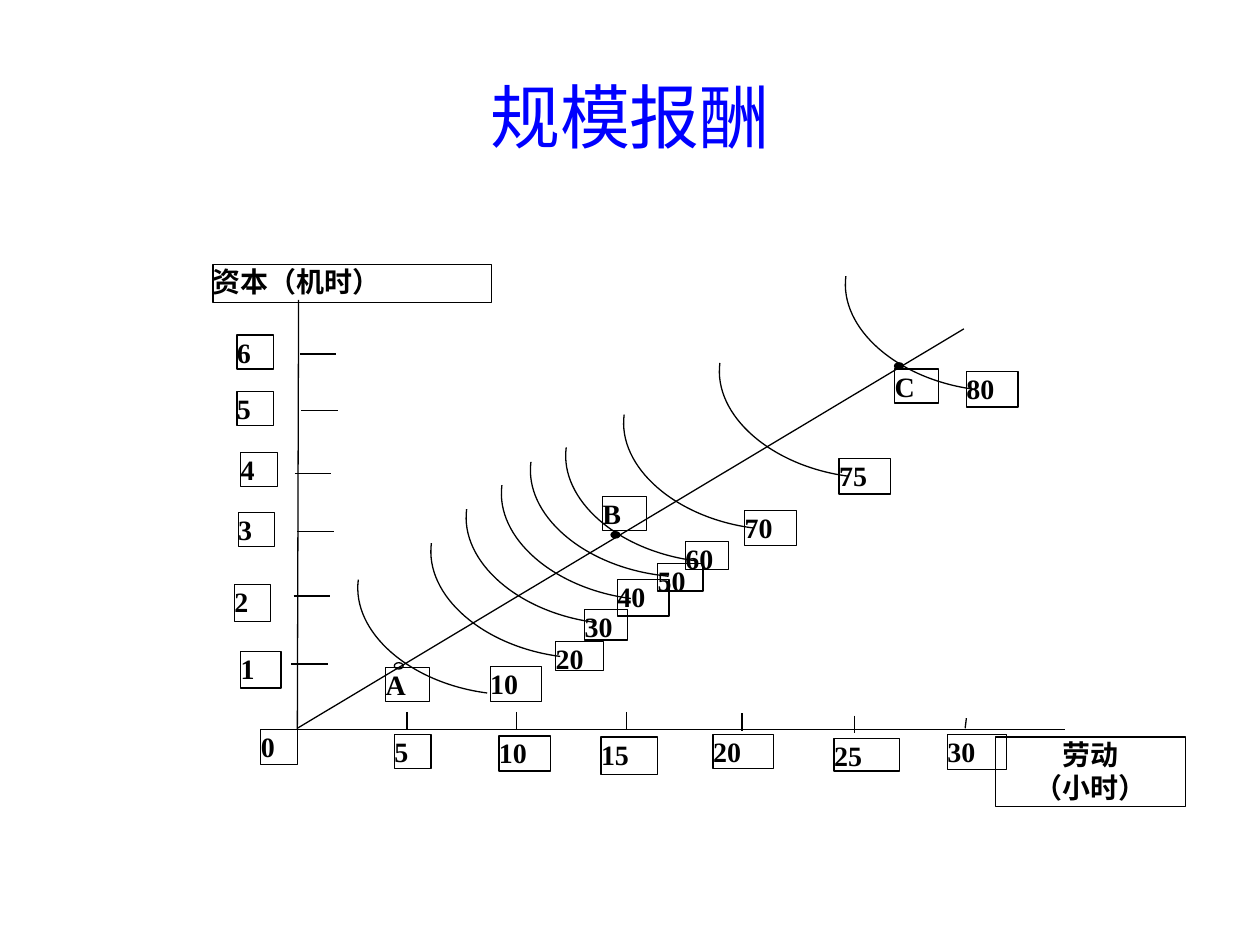
from lxml import etree
from pptx import Presentation
from pptx.dml.color import RGBColor
from pptx.enum.shapes import MSO_CONNECTOR, MSO_SHAPE
from pptx.enum.text import MSO_ANCHOR, PP_ALIGN
from pptx.oxml.ns import qn
from pptx.util import Inches, Pt

BLACK = RGBColor(0, 0, 0)
BLUE = RGBColor(0, 0, 255)
CHINESE_FONT = "Noto Sans CJK SC"
LABEL_FONT = "Times New Roman"
TITLE_ONLY = 5
STRAIGHT = MSO_CONNECTOR.STRAIGHT
RECTANGLE, OVAL = MSO_SHAPE.RECTANGLE, MSO_SHAPE.OVAL
MIDDLE, TOP = MSO_ANCHOR.MIDDLE, MSO_ANCHOR.TOP
LEFT, CENTER, JUSTIFY = PP_ALIGN.LEFT, PP_ALIGN.CENTER, PP_ALIGN.JUSTIFY

# A quarter ellipse as Bezier control points, before it is turned
ISOQUANT = [(0, 0), (0.62, 0), (1.13, 0.34), (1.13, 0.76)]
ISOQUANT_TURN = 187.4

# (text, left, top, width, height)
X_LABELS = [
    ("0", 2.07, 5.79, 0.29, 0.28), ("5", 3.13, 5.83, 0.29, 0.27),
    ("10", 3.96, 5.84, 0.41, 0.28), ("15", 4.77, 5.85, 0.45, 0.3),
    ("20", 5.66, 5.83, 0.48, 0.27), ("25", 6.62, 5.86, 0.52, 0.26),
    ("30", 7.52, 5.83, 0.47, 0.28),
]
Y_LABELS = [
    ("1", 1.91, 5.17, 0.32, 0.29), ("2", 1.86, 4.64, 0.29, 0.29),
    ("3", 1.89, 4.07, 0.29, 0.27), ("4", 1.91, 3.59, 0.29, 0.27),
    ("5", 1.88, 3.11, 0.29, 0.27), ("6", 1.88, 2.66, 0.29, 0.27),
]
OUTPUT_LABELS = [
    ("10", 3.89, 5.29, 0.41, 0.28), ("20", 4.41, 5.09, 0.38, 0.23),
    ("30", 4.64, 4.84, 0.34, 0.24), ("40", 4.9, 4.6, 0.41, 0.29),
    ("50", 5.22, 4.47, 0.36, 0.22), ("60", 5.44, 4.3, 0.34, 0.22),
    ("70", 5.91, 4.05, 0.41, 0.28), ("75", 6.66, 3.64, 0.41, 0.28),
    ("80", 7.67, 2.95, 0.41, 0.28),
]
POINT_LABELS = [
    ("A", 3.06, 5.3, 0.35, 0.27), ("B", 4.78, 3.94, 0.35, 0.27),
    ("C", 7.1, 2.93, 0.35, 0.27),
]
# (left, top, filled)
POINTS = [(3.13, 5.26, False), (4.85, 4.22, True), (7.1, 2.88, True)]
# Top of each tick on the labour axis, left end of each on the capital axis
X_TICKS = [(3.23, 5.65), (4.1, 5.65), (4.97, 5.65), (5.89, 5.66), (6.78, 5.68)]
Y_TICKS = [(2.31, 5.27), (2.33, 4.73), (2.36, 4.22), (2.34, 3.76),
           (2.39, 3.26), (2.38, 2.81)]
# (left, top, straight lead) of each isoquant frame, from output 10 to 80
ISOQUANTS = [(2.79, 4.67, 0), (3.37, 4.38, 0), (3.65, 4.11, 0),
             (3.93, 3.92, 0), (4.16, 3.74, 0.07), (4.44, 3.62, 0),
             (4.9, 3.36, 0), (5.66, 2.95, 0), (6.66, 2.26, 0)]


class Diagram:
    """Holds the line and text style together with the current slide."""

    def __init__(self, slide):
        self.slide = slide
        self.shapes = slide.shapes
        self.weight = Pt(0.75)

    def outline(self, shape):
        shape.line.color.rgb = BLACK
        shape.line.width = self.weight

    def style(self, para, font_name, size, color, bold, align):
        para.alignment = align
        font = para.font
        font.name, font.size, font.bold = font_name, Pt(size), bold
        font.color.rgb = color
        latin = para._p.pPr.find(qn("a:defRPr")).find(qn("a:latin"))
        latin.addnext(etree.Element(qn("a:ea"), typeface=CHINESE_FONT))

    def title(self, text, left, top, width, height):
        box = self.shapes.title
        box.left, box.top = Inches(left), Inches(top)
        box.width, box.height = Inches(width), Inches(height)
        frame = box.text_frame
        frame.text = text
        frame.vertical_anchor = MIDDLE
        self.style(frame.paragraphs[0], CHINESE_FONT, 40, BLUE, False, CENTER)

    def preset(self, kind, left, top, width, height, filled=False):
        shape = self.shapes.add_shape(kind, Inches(left), Inches(top),
                                      Inches(width), Inches(height))
        shape.shadow.inherit = False
        if filled:
            shape.fill.solid()
            shape.fill.fore_color.rgb = BLACK
        else:
            shape.fill.background()
        self.outline(shape)
        return shape

    def label(self, text, left, top, width, height, align=JUSTIFY):
        box = self.preset(RECTANGLE, left, top, width, height)
        frame = box.text_frame
        frame.margin_left = frame.margin_right = 0
        frame.margin_top = frame.margin_bottom = 0
        frame.word_wrap = True
        frame.vertical_anchor = TOP
        frame.text = text
        for para in frame.paragraphs:
            self.style(para, LABEL_FONT, 16, BLACK, True, align)

    def line(self, x1, y1, x2, y2):
        line = self.shapes.add_connector(STRAIGHT, Inches(x1), Inches(y1),
                                         Inches(x2), Inches(y2))
        self.outline(line)
        etree.SubElement(line._element.spPr, qn("a:effectLst"))

    def isoquant(self, left, top, lead):
        """Draw one curve; its last three vertices become a Bezier segment."""
        vertices = [(Inches(left + lead + x), Inches(top + y))
                    for x, y in ISOQUANT]
        if lead:
            vertices.insert(0, (Inches(left), Inches(top)))
        builder = self.shapes.build_freeform(*vertices[0])
        builder.add_line_segments(vertices[1:], close=False)
        curve = builder.convert_to_shape()
        outline = next(curve._element.iter(qn("a:path")))
        segments = outline.findall(qn("a:lnTo"))[-3:]
        bezier = etree.SubElement(outline, qn("a:cubicBezTo"))
        for segment in segments:
            bezier.append(segment[0])
            outline.remove(segment)
        curve.rotation = ISOQUANT_TURN
        curve.shadow.inherit = False
        curve.fill.background()
        self.outline(curve)


def main():
    deck = Presentation()
    deck.slide_width, deck.slide_height = Inches(10), Inches(7.5)
    diagram = Diagram(deck.slides.add_slide(deck.slide_layouts[TITLE_ONLY]))

    diagram.title("规模报酬", 0.75, 0.5, 8.5, 0.83)
    diagram.label("资本（机时）", 1.69, 2.1, 2.21, 0.3)
    diagram.label("劳动\n（小时）", 7.9, 5.85, 1.51, 0.55, CENTER)

    diagram.line(2.36, 5.79, 8.45, 5.79)
    diagram.line(2.36, 5.79, 2.37, 2.38)
    for x, y in X_TICKS:
        diagram.line(x, y, x, y + 0.14)
    diagram.line(7.67, 5.7, 7.66, 5.78)
    for x, y in Y_TICKS:
        diagram.line(x, y, x + 0.29, y)
    for label in X_LABELS + Y_LABELS:
        diagram.label(*label)

    diagram.line(2.36, 5.78, 7.65, 2.61)
    for isoquant in ISOQUANTS:
        diagram.isoquant(*isoquant)

    for label in OUTPUT_LABELS:
        diagram.label(*label)
    for left, top, filled in POINTS:
        diagram.preset(OVAL, left, top, 0.07, 0.05, filled)
    for label in POINT_LABELS:
        diagram.label(*label, align=LEFT)
    diagram.line(7.99, 4.93, 7.99, 4.93)

    deck.save("out.pptx")


if __name__ == "__main__":
    main()
